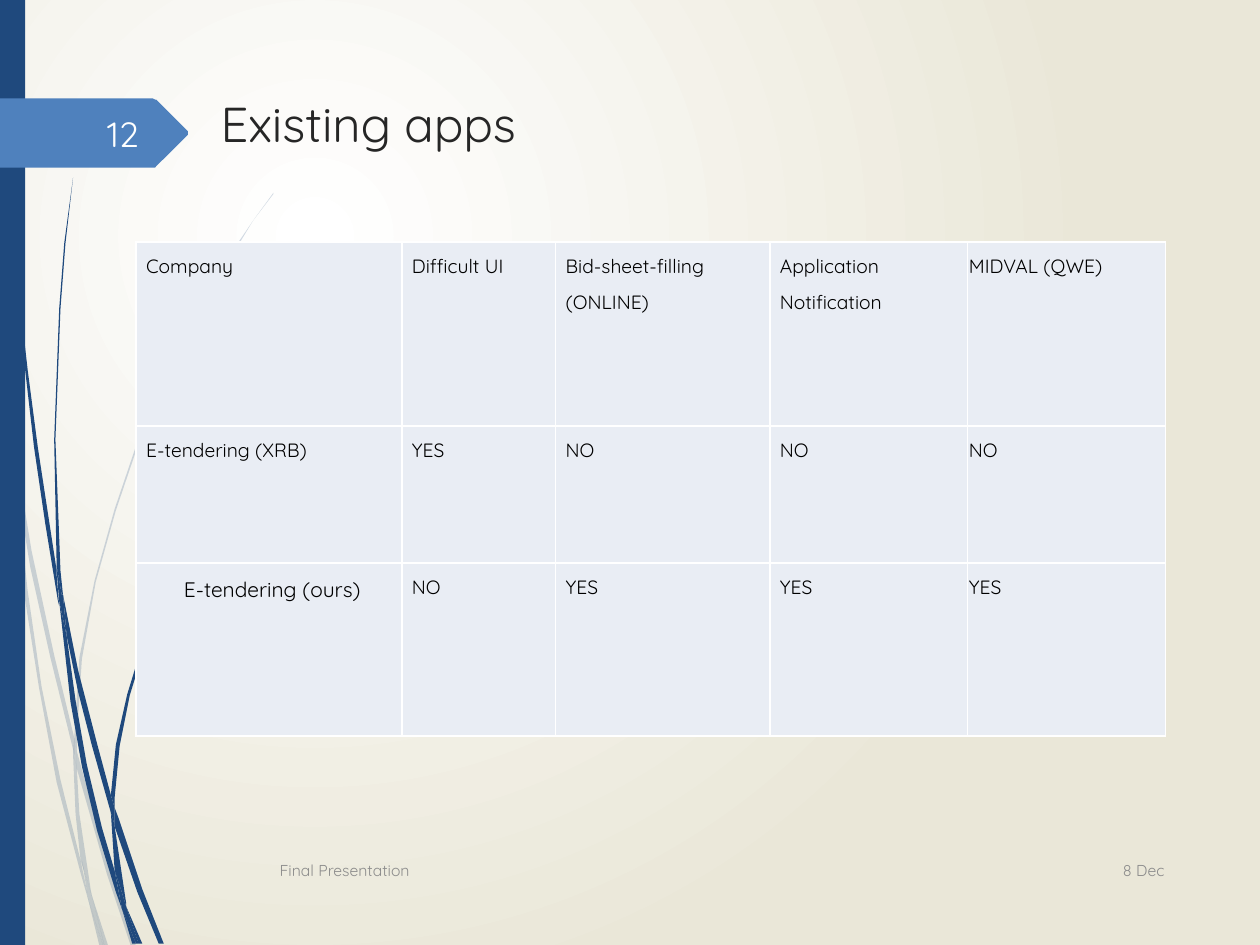
from lxml import etree
from pptx import Presentation
from pptx.dml.color import RGBColor
from pptx.enum.shapes import MSO_SHAPE
from pptx.enum.text import MSO_ANCHOR, PP_ALIGN
from pptx.oxml import parse_xml
from pptx.oxml.ns import nsdecls, qn
from pptx.util import Inches, Pt

FONT = "Quicksand"
NAVY, BLUE, WHITE, CELL = "1F497D", "4F81BD", "FFFFFF", "E9EDF4"

OURS = "E-tendering (ours)"
ROWS = [
    ("Company", "Difficult UI", "Bid-sheet-filling (ONLINE)", "Application Notification", "MIDVAL (QWE)"),
    ("E-tendering (XRB)", "YES", "NO", "NO", "NO"),
    (OURS, "NO", "YES", "YES", "YES"),
]
COL_WIDTHS = (2.11, 1.22, 1.7, 1.57, 1.57)
ROW_HEIGHTS = (1.46, 1.09, 1.37)
# left and right cell margins per column
COL_MARGINS = [(0.08, 0.07)] * 4 + [(0.01, 0.01)]

# text, left, top, width, height, size, colour, alignment
LABELS = [
    ("8 Dec", 8.5, 6.71, 0.84, 0.4, 9, "8C8C8C", PP_ALIGN.RIGHT),
    ("Final Presentation", 2.12, 6.71, 6.25, 0.4, 9, "8C8C8C", PP_ALIGN.LEFT),
    ("12", 0.56, 0.86, 0.64, 0.4, 20, "FEFFFF", PP_ALIGN.RIGHT),
]

# Outlines in hundredths of an inch
PALE_WISPS = [
    [(8, 350), (6, 322), (0, 282), (0, 299), (7, 344)],
    [(40, 522), (59, 599), (59, 586), (43, 520), (25, 437), (10, 345), (12, 376), (24, 450)],
    [(64, 607), (61, 596), (61, 610), (85, 694), (104, 751), (108, 751), (88, 692)],
    [(83, 751), (86, 751), (73, 711)],
    [(64, 683), (48, 619), (33, 545), (22, 469), (12, 376), (8, 350), (12, 410), (19, 470),
     (31, 546), (45, 621), (64, 693), (70, 714), (69, 707)],
    [(58, 599), (60, 646), (64, 683), (67, 692), (73, 711), (72, 706), (63, 646), (61, 610), (61, 608)],
    [(61, 584), (65, 523), (76, 462), (92, 405), (111, 349), (134, 296), (159, 245), (187, 198),
     (201, 175), (217, 154), (217, 153), (201, 175), (186, 197), (158, 244), (133, 295), (110, 348),
     (91, 404), (75, 461), (63, 522), (59, 584), (59, 586), (61, 596)],
    [(70, 714), (79, 751), (82, 751)],
    [(61, 608), (61, 610), (61, 596), (59, 586), (58, 599)],
    [(67, 692), (65, 683), (69, 707), (70, 714), (82, 751), (83, 751), (73, 711)],
]
DARK_WISPS = [
    [(5, 110), (14, 233), (20, 294), (27, 355), (36, 416), (46, 477), (47, 481), (45, 457), (45, 453),
     (30, 355), (22, 294), (15, 232), (6, 109), (4, 48), (3, 0), (2, 0), (3, 48)],
    [(73, 592), (88, 645), (88, 633), (88, 631), (77, 590), (62, 532), (50, 472), (53, 505), (62, 549)],
    [(94, 649), (91, 641), (91, 656), (109, 708), (126, 749), (130, 749), (113, 706)],
    [(91, 691), (81, 657), (69, 607), (60, 556), (53, 505), (47, 477), (56, 557), (65, 608),
     (77, 659), (92, 708), (97, 722), (96, 717)],
    [(50, 472), (48, 453), (44, 349), (48, 245), (52, 193), (58, 141), (51, 193), (47, 245),
     (43, 349), (45, 449), (49, 472)],
    [(110, 749), (113, 749), (100, 719)],
    [(47, 477), (53, 505), (50, 472), (49, 472), (45, 449), (45, 453)],
    [(91, 633), (95, 592), (103, 552), (115, 513), (131, 476), (149, 440), (169, 406), (191, 374),
     (203, 359), (216, 344), (215, 344), (203, 358), (191, 373), (168, 405), (148, 439), (129, 474),
     (113, 512), (101, 551), (92, 591), (88, 631), (91, 641)],
    [(97, 722), (105, 749), (108, 749)],
    [(88, 645), (91, 691), (96, 706), (100, 719), (100, 716), (91, 656), (90, 651)],
    [(88, 645), (90, 651), (91, 656), (91, 641), (88, 631), (88, 633)],
    [(96, 706), (91, 691), (96, 717), (97, 722), (108, 749), (110, 749), (100, 719)],
]
PAGE_TAG = [(149, 107), (124, 132), (123, 133), (121, 133), (0, 133), (0, 78), (121, 78),
            (123, 79), (124, 79), (149, 104), (149, 105), (149, 106)]


def rgb(hex_color):
    return RGBColor.from_string(hex_color)


def paint(shape, color):
    shape.shadow.inherit = False
    shape.fill.solid()
    shape.fill.fore_color.rgb = rgb(color)
    shape.line.fill.background()


def add_outline(s, points, color, opacity=100):
    builder = s.shapes.build_freeform(*points[0], scale=Inches(0.01))
    builder.add_line_segments(points[1:], close=True)
    shape = builder.convert_to_shape()
    paint(shape, color)
    if opacity < 100:
        clr = shape._element.spPr.find(qn("a:solidFill"))[0]
        etree.SubElement(clr, qn("a:alpha")).set("val", str(opacity * 1000))


def write(tf, text, size, color, align):
    tf.text = text
    p = tf.paragraphs[0]
    p.alignment = align
    font = p.runs[0].font
    font.name, font.size, font.color.rgb = FONT, Pt(size), rgb(color)
    return p


def set_background(s):
    """Radial gradient centred on the upper left quarter point."""
    fill = s.background.fill
    fill.gradient()
    for stop, color in zip(fill.gradient_stops, (WHITE, "EAE7D8")):
        stop.color.rgb = rgb(color)
    grad = s._element.find(".//" + qn("a:gradFill"))
    grad.replace(grad.find(qn("a:lin")), parse_xml(
        f'<a:path {nsdecls("a")} path="circle">'
        '<a:fillToRect l="50000" t="50000" r="100000" b="100000"/></a:path>'))


def style_cell(cell, margins):
    cell.margin_left, cell.margin_right = map(Inches, margins)
    cell.margin_top = cell.margin_bottom = 0
    cell.vertical_anchor = MSO_ANCHOR.TOP
    tcPr = cell._tc.get_or_add_tcPr()
    for side in ("lnL", "lnR", "lnT", "lnB"):
        tcPr.append(parse_xml(
            f'<a:{side} {nsdecls("a")} w="12700"><a:solidFill>'
            f'<a:srgbClr val="{WHITE}"/></a:solidFill></a:{side}>'))
    cell.fill.solid()
    cell.fill.fore_color.rgb = rgb(CELL)


def add_comparison(s):
    table = s.shapes.add_table(len(ROWS), len(COL_WIDTHS), Inches(1.08), Inches(1.92),
                               Inches(sum(COL_WIDTHS)), Inches(sum(ROW_HEIGHTS))).table
    for column, width in zip(table.columns, COL_WIDTHS):
        column.width = Inches(width)
    for row, height, texts in zip(table.rows, ROW_HEIGHTS, ROWS):
        row.height = Inches(height)
        for cell, text, margins in zip(row.cells, texts, COL_MARGINS):
            style_cell(cell, margins)
            size = 12 if text == OURS else 11
            p = write(cell.text_frame, text, size, "000000", PP_ALIGN.JUSTIFY)
            p.line_spacing = 1.5
            if text == OURS:
                p.space_before = Pt(14)
                p._p.get_or_add_pPr().set("marL", str(Inches(0.3)))


def main():
    prs = Presentation()
    prs.slide_width, prs.slide_height = Inches(10), Inches(7.5)
    s = prs.slides.add_slide(prs.slide_layouts[5])
    set_background(s)

    for points in PALE_WISPS:
        add_outline(s, points, NAVY, 20)
    for points in DARK_WISPS:
        add_outline(s, points, NAVY)
    paint(s.shapes.add_shape(MSO_SHAPE.RECTANGLE, 0, 0, Inches(0.2), Inches(7.5)), NAVY)
    add_outline(s, PAGE_TAG, BLUE)

    title = s.shapes.title
    title.left, title.top, title.width, title.height = map(Inches, (1.65, 0.69, 7.21, 0.73))
    title.text_frame.vertical_anchor = MSO_ANCHOR.TOP
    write(title.text_frame, "Existing apps", 28, "262626", PP_ALIGN.LEFT)

    for text, *box, size, color, align in LABELS:
        tf = s.shapes.add_textbox(*map(Inches, box)).text_frame
        tf.word_wrap = True
        tf.vertical_anchor = MSO_ANCHOR.MIDDLE
        write(tf, text, size, color, align)

    add_comparison(s)
    prs.save("out.pptx")


if __name__ == "__main__":
    main()
